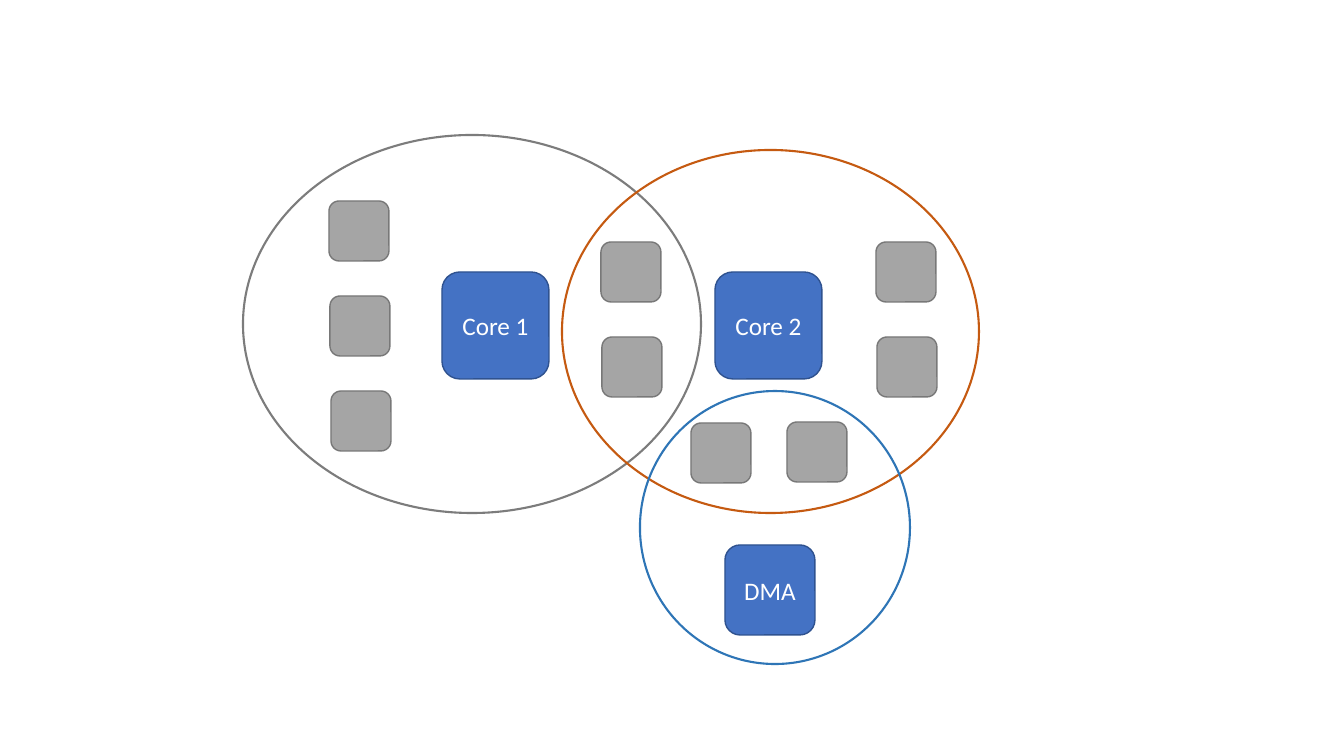
import pptx
import pptx.dml.color
import pptx.enum.shapes
import pptx.enum.text
import pptx.util

SLIDE_WIDTH, SLIDE_HEIGHT = 1344, 756  # px
EMU_PER_PX = 12192000 / SLIDE_WIDTH
MEMORY_SIZE = 60
COLORS = {
    "unit": "4472C4",
    "unit_line": "2F528F",
    "memory": "A5A5A5",
    "memory_line": "787878",
    "text": "FFFFFF",
    "core_1": "7C7C7C",
    "core_2": "C55A11",
    "dma": "2E75B6",
}
SHAPES = pptx.enum.shapes.MSO_SHAPE


def px(length):
    return pptx.util.Emu(round(length * EMU_PER_PX))


def color(name):
    return pptx.dml.color.RGBColor.from_string(COLORS[name])


def add_outline(slide, kind, box, line, line_width, fill=None):
    shape = slide.shapes.add_shape(kind, *[px(length) for length in box])
    shape.shadow.inherit = False
    if fill:
        shape.fill.solid()
        shape.fill.fore_color.rgb = color(fill)
    else:
        shape.fill.background()
    shape.line.color.rgb = color(line)
    shape.line.width = pptx.util.Pt(line_width)
    return shape


def add_unit(slide, box, label):
    shape = add_outline(slide, SHAPES.ROUNDED_RECTANGLE, box, "unit_line", 1, "unit")
    frame = shape.text_frame
    frame.word_wrap = False
    frame.vertical_anchor = pptx.enum.text.MSO_ANCHOR.MIDDLE
    paragraph = frame.paragraphs[0]
    paragraph.alignment = pptx.enum.text.PP_ALIGN.CENTER
    run = paragraph.add_run()
    run.text = label
    run.font.name = "Calibri"
    run.font.size = pptx.util.Pt(18)
    run.font.color.rgb = color("text")


def add_memories(slide, left, top, count, step):
    for index in range(count):
        box = (left + index * step[0], top + index * step[1], MEMORY_SIZE, MEMORY_SIZE)
        add_outline(slide, SHAPES.ROUNDED_RECTANGLE, box, "memory_line", 1, "memory")


def add_region(slide, box, line, label, unit, memory_groups):
    """Unit and memories are placed relative to the region's box."""
    left, top = box[:2]
    unit_left, unit_top, unit_size = unit
    add_unit(slide, (left + unit_left, top + unit_top, unit_size, unit_size), label)
    for group_left, group_top, count, step in memory_groups:
        add_memories(slide, left + group_left, top + group_top, count, step)
    add_outline(slide, SHAPES.OVAL, box, line, 1.5)


def main():
    presentation = pptx.Presentation()
    presentation.slide_width = px(SLIDE_WIDTH)
    presentation.slide_height = px(SLIDE_HEIGHT)
    slide = presentation.slides.add_slide(presentation.slide_layouts[6])
    column, row = (1, 95), (96, -1)  # steps between memories

    # Core 1 with its private memories
    add_region(slide, (243, 135, 458, 378), "core_1", "Core 1",
               (199, 137, 107), [(86, 66, 3, column)])
    # Core 2 with the memories shared with Core 1 and its private ones
    add_region(slide, (562, 150, 417, 363), "core_2", "Core 2",
               (153, 122, 107), [(39, 92, 2, column), (314, 92, 2, column)])
    # DMA with the memories shared with Core 2
    add_region(slide, (640, 391, 270, 273), "dma", "DMA",
               (85, 154, 90), [(51, 32, 2, row)])

    presentation.save("out.pptx")


if __name__ == "__main__":
    main()
